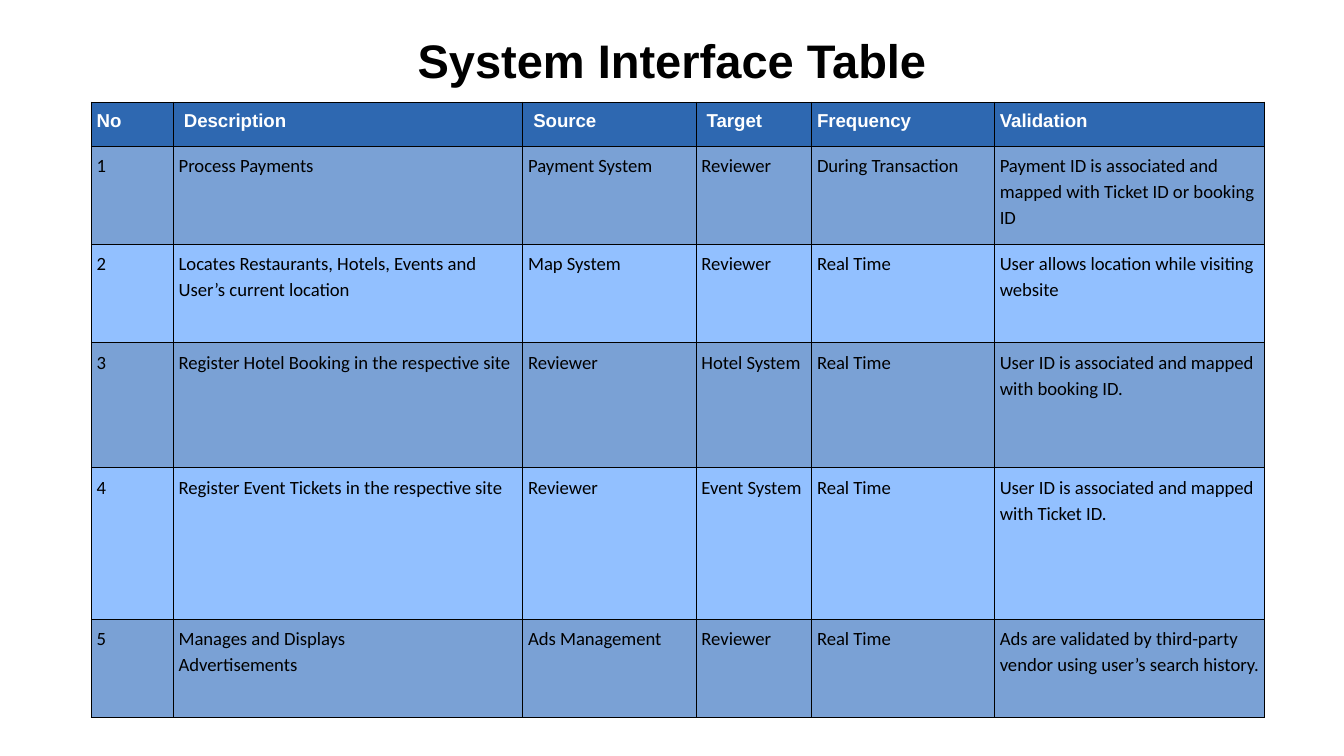
from typing import NamedTuple

from lxml.etree import SubElement
from pptx import Presentation
from pptx.dml.color import RGBColor
from pptx.enum.text import MSO_ANCHOR as Anchor, MSO_AUTO_SIZE as AutoSize, PP_ALIGN as Align
from pptx.oxml.ns import qn
from pptx.util import Inches, Pt

BLACK = RGBColor(0x00, 0x00, 0x00)
WHITE = RGBColor(0xFF, 0xFF, 0xFF)
HEADER_BLUE = RGBColor(0x2E, 0x68, 0xB1)
DARK_BAND = RGBColor(0x7A, 0xA1, 0xD5)
LIGHT_BAND = RGBColor(0x92, 0xC0, 0xFF)

SLIDE_WIDTH = Inches(10)
SLIDE_HEIGHT = SLIDE_WIDTH * 9 // 16
TABLE_LEFT, TABLE_TOP = Inches(0.68), Inches(0.76)
COLUMN_WIDTHS = [Inches(width) for width in (0.61, 2.6, 1.29, 0.86, 1.36, 2.01)]
BORDER_WIDTH = Pt(0.75)
CELL_MARGIN = Inches(0.04)

TITLE_FONT = {"name": "Arial", "size": Pt(25.2), "bold": True}
HEADER_FONT = {"name": "Arial", "size": Pt(10), "bold": True}
BODY_FONT = {"name": "Calibri", "size": Pt(10), "bold": False}


class Interface(NamedTuple):
    number: str
    description: str
    source: str
    target: str
    frequency: str
    validation: str


class RowStyle(NamedTuple):
    height: float
    fill: RGBColor
    color: RGBColor
    font: dict


HEADER = Interface("No", " Description", " Source", " Target", "Frequency", "Validation")
INTERFACES = [
    Interface("1", "Process Payments", "Payment System", "Reviewer", "During Transaction",
              "Payment ID is associated and mapped with Ticket ID or booking ID"),
    Interface("2", "Locates Restaurants, Hotels, Events and User’s current location",
              "Map System", "Reviewer", "Real Time",
              "User allows location while visiting website"),
    Interface("3", "Register Hotel Booking in the respective site", "Reviewer",
              "Hotel System", "Real Time",
              "User ID is associated and mapped with booking ID."),
    Interface("4", "Register Event Tickets in the respective site", "Reviewer",
              "Event System", "Real Time",
              "User ID is associated and mapped with Ticket ID."),
    Interface("5", "Manages and Displays\nAdvertisements", "Ads Management", "Reviewer",
              "Real Time",
              "Ads are validated by third-party vendor using user’s search history."),
]
BODY_HEIGHTS = (0.73, 0.73, 0.93, 1.13, 0.73)
ROW_STYLES = [RowStyle(0.33, HEADER_BLUE, WHITE, HEADER_FONT)] + [
    RowStyle(height, LIGHT_BAND if index % 2 else DARK_BAND, BLACK, BODY_FONT)
    for index, height in enumerate(BODY_HEIGHTS)
]


def apply_format(target, values: dict) -> None:
    for name, value in values.items():
        setattr(target, name, value)


def add_borders(cell) -> None:
    properties = cell._tc.get_or_add_tcPr()
    for side in ("a:lnL", "a:lnR", "a:lnT", "a:lnB"):
        line = SubElement(properties, qn(side), w=str(BORDER_WIDTH))
        SubElement(SubElement(line, qn("a:solidFill")), qn("a:srgbClr"), val=str(BLACK))


def write_cell(cell, text: str, style: RowStyle) -> None:
    sides = ("left", "right", "top", "bottom")
    apply_format(cell, {f"margin_{side}": CELL_MARGIN for side in sides})
    add_borders(cell)
    cell.fill.solid()
    cell.fill.fore_color.rgb = style.fill
    cell.text = text
    for para in cell.text_frame.paragraphs:
        para.line_spacing = 1.15
        for span in para.runs:
            apply_format(span.font, style.font)
            span.font.color.rgb = style.color


def add_title(page, text: str) -> None:
    title = page.shapes.title
    apply_format(title, {"left": Inches(0.34), "top": Inches(0.13),
                         "width": Inches(9.32), "height": Inches(0.63)})
    frame = title.text_frame
    frame.text = text
    apply_format(frame, {"word_wrap": True, "auto_size": AutoSize.NONE,
                         "vertical_anchor": Anchor.MIDDLE,
                         "margin_left": Inches(0.1), "margin_right": Inches(0.1),
                         "margin_top": Inches(0.1), "margin_bottom": Inches(0.1)})
    para = frame.paragraphs[0]
    para.alignment = Align.CENTER
    font = para.runs[0].font
    apply_format(font, TITLE_FONT)
    font.color.rgb = BLACK


def add_interface_table(page) -> None:
    records = [HEADER, *INTERFACES]
    heights = [Inches(style.height) for style in ROW_STYLES]
    table = page.shapes.add_table(len(records), len(COLUMN_WIDTHS), TABLE_LEFT, TABLE_TOP,
                                  sum(COLUMN_WIDTHS), sum(heights)).table
    for column, width in zip(table.columns, COLUMN_WIDTHS):
        column.width = width
    for row, height, record, style in zip(table.rows, heights, records, ROW_STYLES):
        row.height = height
        for cell, text in zip(row.cells, record):
            write_cell(cell, text, style)


def main() -> None:
    deck = Presentation()
    apply_format(deck, {"slide_width": SLIDE_WIDTH, "slide_height": SLIDE_HEIGHT})
    page = deck.slides.add_slide(deck.slide_layouts.get_by_name("Title Only"))
    add_title(page, "System Interface Table")
    add_interface_table(page)
    deck.save("out.pptx")


if __name__ == "__main__":
    main()
